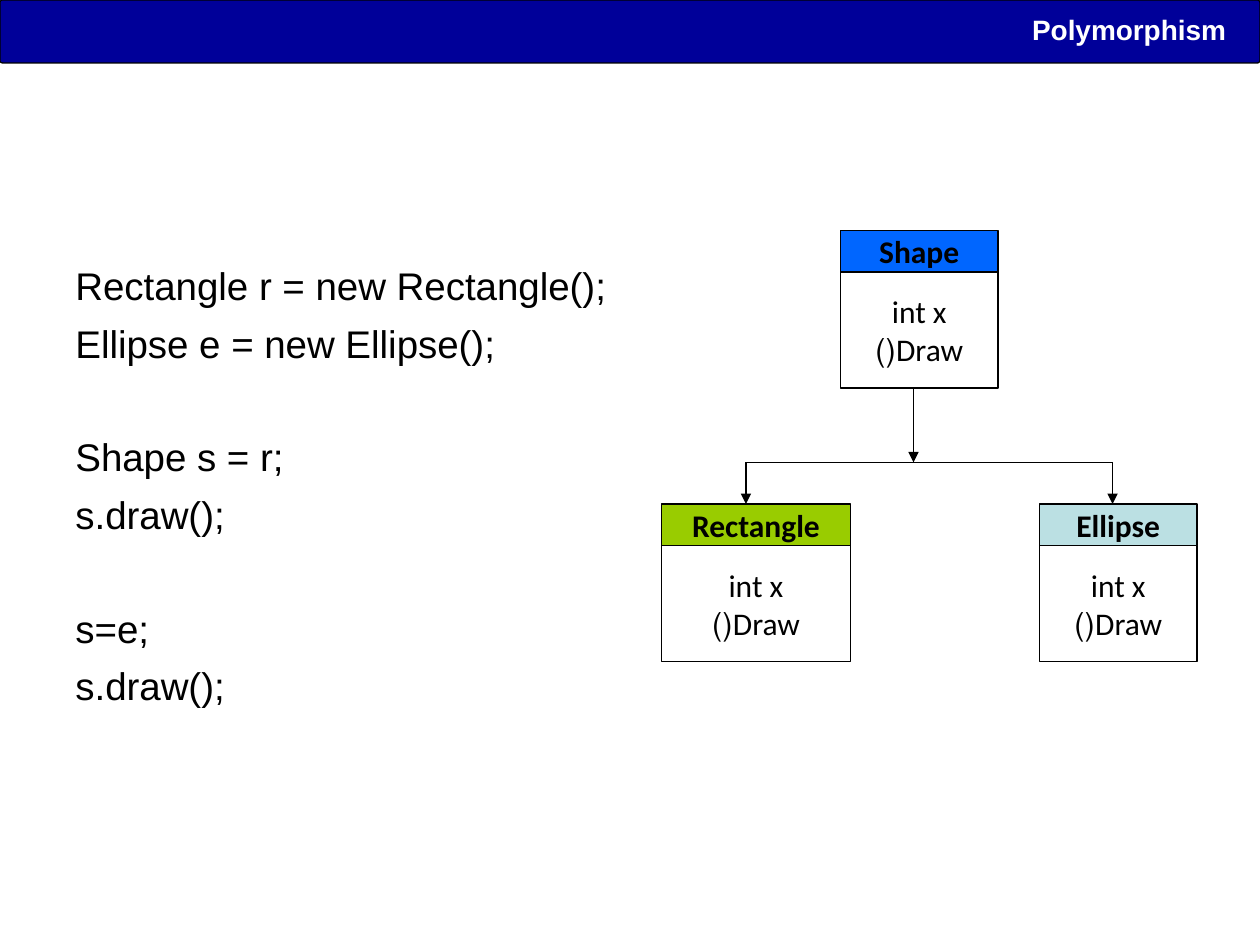
"""Build a slide on polymorphism with a code sample and a class diagram."""
from lxml import etree
from pptx import Presentation
from pptx.dml.color import RGBColor
from pptx.enum.shapes import MSO_CONNECTOR, MSO_SHAPE
from pptx.enum.text import MSO_ANCHOR, PP_ALIGN
from pptx.oxml.ns import qn
from pptx.util import Inches, Pt

RECTANGLE = MSO_SHAPE.RECTANGLE
ROUNDED_RECTANGLE = MSO_SHAPE.ROUNDED_RECTANGLE
STRAIGHT = MSO_CONNECTOR.STRAIGHT
MIDDLE = MSO_ANCHOR.MIDDLE
CENTER = PP_ALIGN.CENTER
RIGHT = PP_ALIGN.RIGHT


def color(value):
    return RGBColor.from_string(value)


def add_text(paragraph, text, size, font_name, font_color, bold=False):
    run = paragraph.add_run()
    run.text = text
    run.font.size = Pt(size)
    run.font.name = font_name
    run.font.bold = bold
    run.font.color.rgb = color(font_color)


presentation = Presentation()
presentation.slide_width = Inches(10)
presentation.slide_height = Inches(7.5)
slide = presentation.slides.add_slide(presentation.slide_layouts[6])

banner = slide.shapes.add_shape(ROUNDED_RECTANGLE, 0, 0, Inches(10), Inches(0.5))
banner.adjustments[0] = 0.04
banner.shadow.inherit = False
banner.fill.solid()
banner.fill.fore_color.rgb = color("000099")
banner.line.color.rgb = color("000000")
banner.line.width = Pt(0.75)

code_box = slide.shapes.add_textbox(Inches(0.5), Inches(2), Inches(5.59), Inches(4.03))
code_frame = code_box.text_frame
code_frame.word_wrap = True
code_frame.margin_top = Inches(0.08)
code_groups = [
    ["Rectangle r = new Rectangle();", "Ellipse e = new Ellipse();"],
    ["Shape s = r;", "s.draw();"],
    ["s=e;", "s.draw();"],
]
for group_index, code_lines in enumerate(code_groups):
    for line_index, code_line in enumerate(code_lines):
        if group_index == line_index == 0:
            paragraph = code_frame.paragraphs[0]
        else:
            paragraph = code_frame.add_paragraph()
            paragraph.space_before = Pt(6.6 if line_index else 38.5)
        add_text(paragraph, code_line, 22, "Arial", "000000")

classes = [
    ("Shape", 6.67, 1.83, 1.25, "0066FF"),
    ("Rectangle", 5.25, 4, 1.5, "99CC00"),
    ("Ellipse", 8.25, 4, 1.25, "BBE0E3"),
]
header_height = 0.33
for class_name, left, top, width, header_color in classes:
    compartments = [
        ([class_name], top, header_height, header_color),
        (["int x", "Draw()"], top + header_height, 0.92, None),
    ]
    for lines, box_top, height, fill_color in compartments:
        box = slide.shapes.add_shape(
            RECTANGLE, Inches(left), Inches(box_top), Inches(width), Inches(height)
        )
        box.shadow.inherit = False
        if fill_color:
            box.fill.solid()
            box.fill.fore_color.rgb = color(fill_color)
        else:
            box.fill.background()
        box.line.color.rgb = color("000000")
        box.line.width = Pt(1)
        frame = box.text_frame
        frame.word_wrap = False
        frame.vertical_anchor = MIDDLE
        for index, line in enumerate(lines):
            paragraph = frame.add_paragraph() if index else frame.paragraphs[0]
            paragraph.alignment = CENTER
            paragraph._p.get_or_add_pPr().set("rtl", "1")
            add_text(paragraph, line, 18, "Calibri", "000000", bool(fill_color))

branch_left, branch_right, branch_top = 5.92, 8.83, 3.67
links = [
    (branch_left, branch_top, branch_right, branch_top, False),
    (7.25, 3.08, 7.25, branch_top, True),
    (branch_left, branch_top, branch_left, 4, True),
    (branch_right, branch_top, branch_right, 4, True),
]
for start_x, start_y, end_x, end_y, has_arrow in links:
    connector = slide.shapes.add_connector(
        STRAIGHT, Inches(start_x), Inches(start_y), Inches(end_x), Inches(end_y)
    )
    connector.line.color.rgb = color("000000")
    connector.line.width = Pt(1)
    if has_arrow:
        etree.SubElement(connector.line._get_or_add_ln(), qn("a:tailEnd"), type="triangle")
    etree.SubElement(connector._element.spPr, qn("a:effectLst"))

title_box = slide.shapes.add_textbox(Inches(0.63), Inches(0.05), Inches(9.2), Inches(0.37))
title_box.text_frame.word_wrap = True
title = title_box.text_frame.paragraphs[0]
title.alignment = RIGHT
add_text(title, "Polymorphism", 16, "Arial", "FFFFFF", True)

presentation.save("out.pptx")
